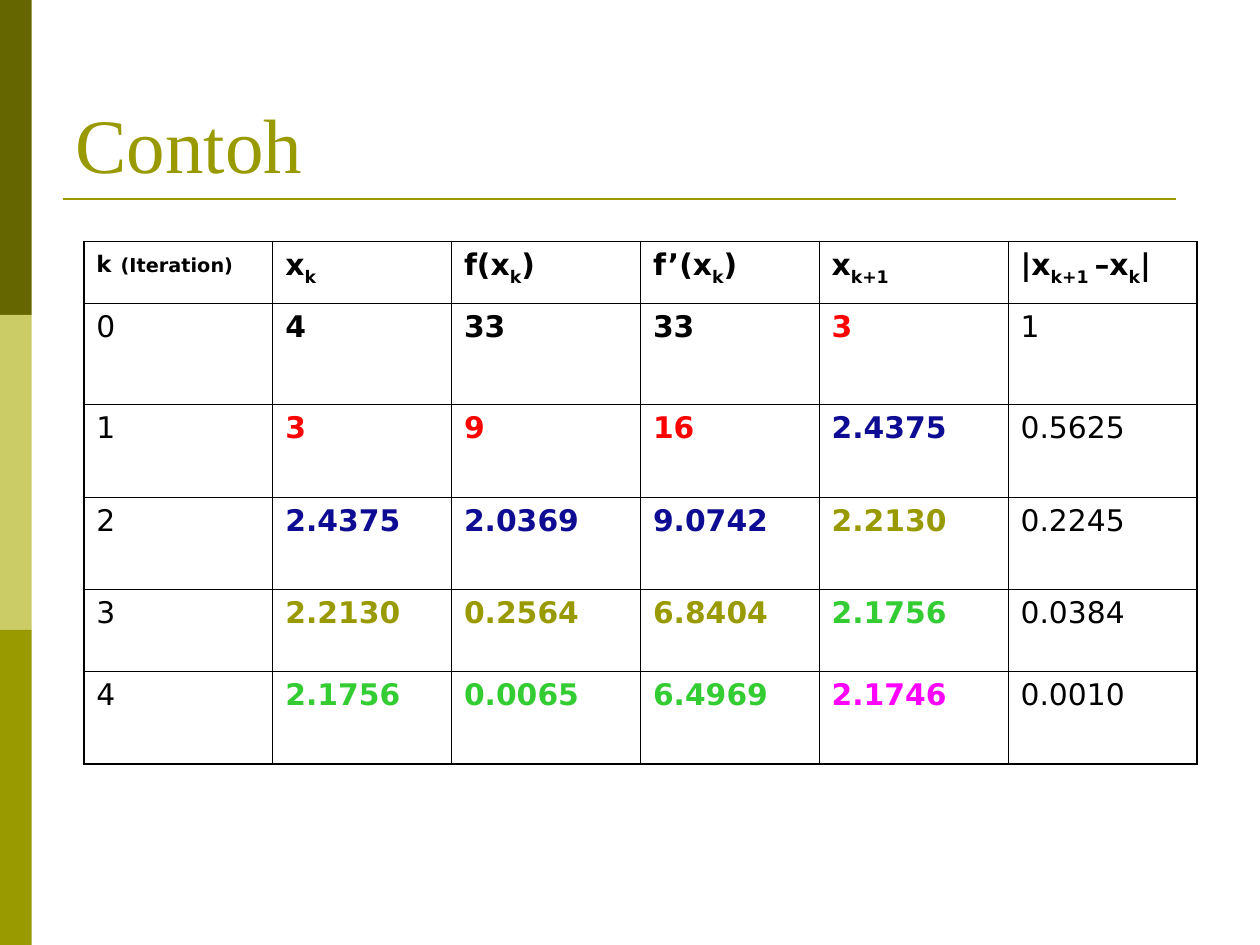
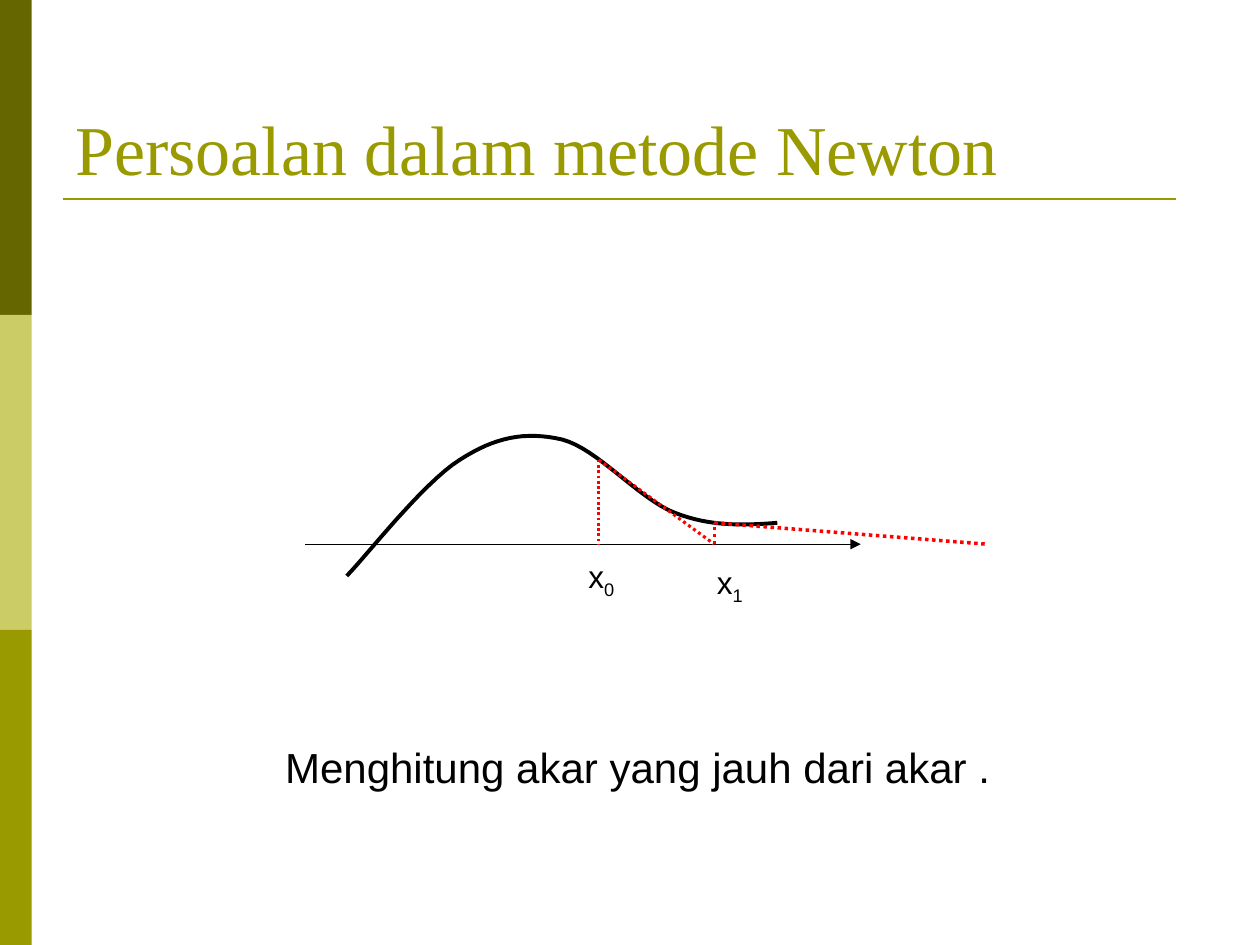
from dataclasses import dataclass
from itertools import pairwise
from typing import NamedTuple

from lxml.etree import SubElement
from pptx import Presentation
from pptx.dml.color import RGBColor
from pptx.enum.dml import MSO_LINE_DASH_STYLE as Dash
from pptx.enum.shapes import MSO_CONNECTOR as Connector, MSO_SHAPE as Preset
from pptx.enum.text import MSO_ANCHOR as Anchor, MSO_AUTO_SIZE as AutoSize, PP_ALIGN as Align
from pptx.oxml.ns import qn
from pptx.util import Cm, Pt


@dataclass(frozen=True)
class Theme:
    dark_olive: str = "666600"
    light_olive: str = "CCCC66"
    olive: str = "999900"
    black: str = "000000"
    red: str = "FF0000"
    navy: str = "0E0C93"
    green: str = "33CC33"
    magenta: str = "FF00FF"
    title_font: str = "Times New Roman"
    table_font: str = "DejaVu Sans"
    body_font: str = "Arial"
    title_size: float = 44
    long_title_size: float = 40
    caption_size: float = 24
    label_size: float = 18
    table_size: float = 17
    inner_border: float = 0.45
    outer_border: float = 1.08


THEME = Theme()


class Point(NamedTuple):
    x: float
    y: float


class Box(NamedTuple):
    left: float
    top: float
    width: float
    height: float

    def lengths(self) -> tuple:
        return tuple(Cm(value) for value in self)


@dataclass(frozen=True)
class TextStyle:
    font: str
    size: float
    color: str = THEME.black
    bold: bool = False


@dataclass(frozen=True)
class Line:
    start: Point
    end: Point
    color: str
    width: float
    dotted: bool = False
    arrow: bool = False


@dataclass(frozen=True)
class Label:
    text: str
    box: Box
    size: float
    align: Align = Align.LEFT
    space_before: float = 0


# Shared frame
SLIDE_WIDTH, SLIDE_HEIGHT = 25.4, 19.05
BAND_COLORS = (THEME.dark_olive, THEME.light_olive, THEME.olive)
BAND_WIDTH = 0.64
TITLE_BOX = Box(1.27, 0.76, 22.86, 3.18)
TITLE_RULE = Line(Point(1.27, 4.01), Point(23.7, 4.01), THEME.olive, 1.5)

# Iteration table: each row's colour carries on from the previous row's new x
TABLE_BOX = Box(1.69, 4.87, 22.44, 10.53)
COLUMN_WIDTHS = (3.81, 3.6, 3.81, 3.6, 3.81, 3.81)
ROW_HEIGHTS = (1.25, 2.04, 1.87, 1.86, 1.65, 1.86)
HEADINGS = ("x~k", "f(x~k~)", "f’(x~k~)", "x~k+1", "|x~k+1 ~–x~k~|")
ITERATIONS = (
    ("4", "33", "33", "3", "1"),
    ("3", "9", "16", "2.4375", "0.5625"),
    ("2.4375", "2.0369", "9.0742", "2.2130", "0.2245"),
    ("2.2130", "0.2564", "6.8404", "2.1756", "0.0384"),
    ("2.1756", "0.0065", "6.4969", "2.1746", "0.0010"),
)
STEP_COLORS = (THEME.black, THEME.red, THEME.navy, THEME.olive, THEME.green, THEME.magenta)

# Newton diagram
AXIS_Y = 10.97
CURVE_START = Point(15.67, 10.54)
CURVE_SEGMENTS = (
    (Point(15.0, 10.59), Point(14.33, 10.62), Point(13.61, 10.34)),
    (Point(12.88, 10.06), Point(12.04, 9.04), Point(11.33, 8.86)),
    (Point(10.59, 8.69), Point(9.98, 8.81), Point(9.27, 9.27)),
    (Point(8.53, 9.73), Point(7.37, 11.23), Point(6.99, 11.61)),
)
CURVE_STEPS = 16
X0, X1, X2 = 12.07, 14.4, 19.89
ON_CURVE_0, ON_CURVE_1 = Point(X0, 9.27), Point(X1, 10.54)
DIAGRAM_LINES = (
    Line(Point(6.15, AXIS_Y), Point(17.35, AXIS_Y), THEME.black, 0.75, arrow=True),
    Line(ON_CURVE_0, Point(X0, AXIS_Y), THEME.red, 1.5, dotted=True),
    Line(ON_CURVE_0, Point(X1, AXIS_Y), THEME.red, 1.75, dotted=True),
    Line(Point(X1, AXIS_Y), ON_CURVE_1, THEME.red, 2, dotted=True),
    Line(ON_CURVE_1, Point(X2, AXIS_Y), THEME.red, 2, dotted=True),
)
DIAGRAM_LABELS = (
    Label("Menghitung akar yang jauh dari akar .", Box(2.16, 14.82, 21.39, 1.27),
          THEME.caption_size, align=Align.CENTER, space_before=11.2),
    Label("x~0", Box(11.61, 11.1, 1.3, 1.12), THEME.label_size),
    Label("x~1", Box(14.2, 11.23, 1.3, 1.12), THEME.label_size),
)


def rgb(color: str) -> RGBColor:
    return RGBColor.from_string(color)


def style_run(run, style: TextStyle) -> None:
    run.font.name = style.font
    run.font.size = Pt(style.size)
    run.font.bold = style.bold
    run.font.color.rgb = rgb(style.color)


def write_formula(paragraph, text: str, style: TextStyle) -> None:
    """Write text in which every second part between ~ marks is a subscript."""
    for index, part in enumerate(text.split("~")):
        if part:
            run = paragraph.add_run()
            run.text = part
            style_run(run, style)
            if index % 2:
                run._r.get_or_add_rPr().set("baseline", "-25000")


def draw_line(slide, line: Line):
    connector = slide.shapes.add_connector(
        Connector.STRAIGHT, Cm(line.start.x), Cm(line.start.y), Cm(line.end.x), Cm(line.end.y))
    connector.line.color.rgb = rgb(line.color)
    connector.line.width = Pt(line.width)
    if line.dotted:
        connector.line.dash_style = Dash.ROUND_DOT
    properties = connector.element.spPr
    if line.arrow:
        SubElement(properties.find(qn("a:ln")), qn("a:tailEnd"), type="triangle")
    SubElement(properties, qn("a:effectLst"))
    return connector


def draw_band(slide, index: int, color: str):
    height = SLIDE_HEIGHT / len(BAND_COLORS)
    band = slide.shapes.add_shape(
        Preset.RECTANGLE, *Box(0, index * height, BAND_WIDTH, height).lengths())
    band.shadow.inherit = False
    band.fill.solid()
    band.fill.fore_color.rgb = rgb(color)
    band.line.fill.background()
    return band


def add_frame_to_layout(slide) -> None:
    """Draw the bands and the title rule, then move them to the slide's layout."""
    layout = slide.slide_layout
    for placeholder in list(layout.placeholders)[1:]:
        layout.shapes.element.remove(placeholder.element)
    frame = [draw_band(slide, index, color) for index, color in enumerate(BAND_COLORS)]
    frame.append(draw_line(slide, TITLE_RULE))
    for shape in frame:
        layout.shapes.element.append(shape.element)


def add_titled_slide(presentation, title: str, size: float):
    slide = presentation.slides.add_slide(presentation.slide_layouts[5])
    shape = slide.shapes.title
    shape.left, shape.top, shape.width, shape.height = TITLE_BOX.lengths()
    text_frame = shape.text_frame
    text_frame.text = title
    text_frame.auto_size = AutoSize.NONE
    text_frame.vertical_anchor = Anchor.BOTTOM
    paragraph = text_frame.paragraphs[0]
    paragraph.alignment = Align.LEFT
    style_run(paragraph.runs[0], TextStyle(THEME.title_font, size, THEME.olive))
    return slide


def draw_label(slide, label: Label) -> None:
    text_frame = slide.shapes.add_textbox(*label.box.lengths()).text_frame
    text_frame.word_wrap = True
    text_frame.auto_size = AutoSize.NONE
    paragraph = text_frame.paragraphs[0]
    paragraph.alignment = label.align
    paragraph.space_before = Pt(label.space_before)
    write_formula(paragraph, label.text, TextStyle(THEME.body_font, label.size))


def format_cell(cell, outer_sides: dict[str, bool]) -> None:
    for side, is_outer in outer_sides.items():
        width = THEME.outer_border if is_outer else THEME.inner_border
        border = SubElement(cell._tc.get_or_add_tcPr(), qn(f"a:ln{side}"), w=str(Pt(width)))
        SubElement(SubElement(border, qn("a:solidFill")), qn("a:srgbClr"), val=THEME.black)
    cell.fill.background()
    cell.text_frame.paragraphs[0].space_before = Pt(4.2)


def write_iteration_heading(paragraph) -> None:
    paragraph.space_before = Pt(2.8)
    for text, size in (("k", 13), (" ", 15), ("(Iteration)", 11)):
        write_formula(paragraph, text, TextStyle(THEME.table_font, size, bold=True))


def cell_style(row: int, column: int) -> TextStyle:
    if row == 0:
        return TextStyle(THEME.table_font, THEME.table_size, bold=True)
    is_step = 1 <= column <= 4
    color = STEP_COLORS[row if column == 4 else row - 1] if is_step else THEME.black
    return TextStyle(THEME.table_font, THEME.table_size, color, is_step)


def draw_iteration_table(slide) -> None:
    rows = [("", *HEADINGS)]
    rows += [(str(step), *values) for step, values in enumerate(ITERATIONS)]
    last_row, last_column = len(rows) - 1, len(COLUMN_WIDTHS) - 1
    table = slide.shapes.add_table(
        len(rows), len(COLUMN_WIDTHS), *TABLE_BOX.lengths()).table
    table.first_row = table.horz_banding = False
    for column, width in zip(table.columns, COLUMN_WIDTHS):
        column.width = Cm(width)
    for row, height in zip(table.rows, ROW_HEIGHTS):
        row.height = Cm(height)
    for row, values in enumerate(rows):
        for column, text in enumerate(values):
            cell = table.cell(row, column)
            format_cell(cell, {"L": column == 0, "R": column == last_column,
                               "T": row == 0, "B": row == last_row})
            write_formula(cell.text_frame.paragraphs[0], text, cell_style(row, column))
    write_iteration_heading(table.cell(0, 0).text_frame.paragraphs[0])


def bezier_point(controls: tuple[Point, ...], t: float) -> Point:
    """Find a point on a Bézier curve by repeated interpolation."""
    while len(controls) > 1:
        controls = tuple(Point(a.x + (b.x - a.x) * t, a.y + (b.y - a.y) * t)
                         for a, b in pairwise(controls))
    return controls[0]


def draw_curve(slide) -> None:
    points = [CURVE_START]
    for segment in CURVE_SEGMENTS:
        controls = (points[-1], *segment)
        points += [bezier_point(controls, step / CURVE_STEPS)
                   for step in range(1, CURVE_STEPS + 1)]
    start, *rest = [(Cm(point.x), Cm(point.y)) for point in points]
    builder = slide.shapes.build_freeform(*start)
    builder.add_line_segments(rest, close=False)
    curve = builder.convert_to_shape()
    curve.shadow.inherit = False
    curve.fill.background()
    curve.line.color.rgb = rgb(THEME.black)
    curve.line.width = Pt(2.25)


def main() -> None:
    presentation = Presentation()
    presentation.slide_width, presentation.slide_height = Cm(SLIDE_WIDTH), Cm(SLIDE_HEIGHT)

    # Example: iterations
    example = add_titled_slide(presentation, "Contoh", THEME.title_size)
    add_frame_to_layout(example)
    draw_iteration_table(example)

    # Problem: tangent far from the root
    problem = add_titled_slide(
        presentation, "Persoalan dalam metode Newton", THEME.long_title_size)
    draw_curve(problem)
    for line in DIAGRAM_LINES:
        draw_line(problem, line)
    for label in DIAGRAM_LABELS:
        draw_label(problem, label)

    presentation.save("out.pptx")


if __name__ == "__main__":
    main()
